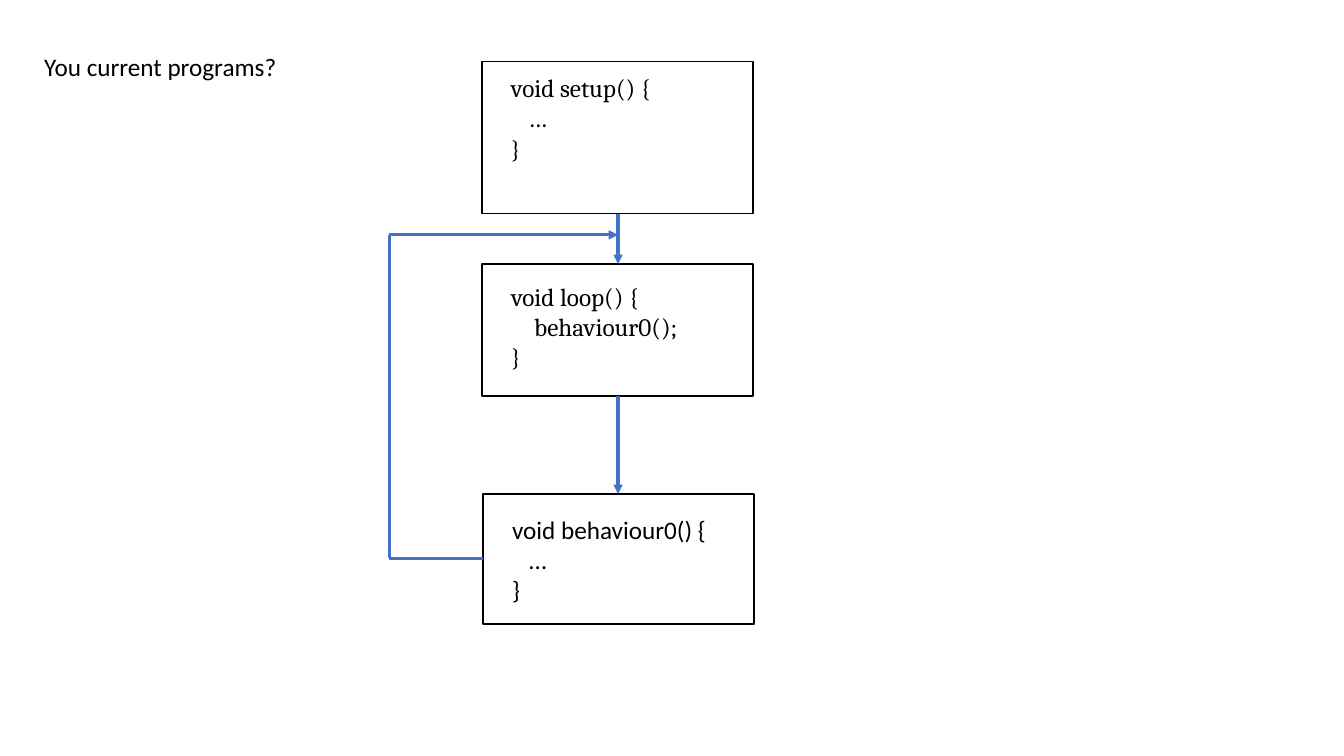
from lxml import etree
from pptx import Presentation
from pptx.dml.color import RGBColor
from pptx.enum.shapes import MSO_CONNECTOR, MSO_SHAPE
from pptx.enum.text import MSO_ANCHOR, PP_ALIGN
from pptx.oxml.ns import qn
from pptx.util import Inches, Pt

RECTANGLE = MSO_SHAPE.RECTANGLE
STRAIGHT = MSO_CONNECTOR.STRAIGHT
TOP = MSO_ANCHOR.TOP
LEFT = PP_ALIGN.LEFT

BLACK = "000000"
BLUE = "4472C4"
BOX_LEFT = 4.78
BOX_WIDTH = 2.69
CENTER = 6.13
LOOP_LEFT = 3.86
LOOP_TOP = 2.33
LOOP_BOTTOM = 5.54


def color(value):
    return RGBColor.from_string(value)


def add_text(slide, lines, left, top, width, height, font="Calibri", size=18, indent=0, wrap=True):
    text_box = slide.shapes.add_textbox(Inches(left), Inches(top), Inches(width), Inches(height))
    frame = text_box.text_frame
    frame.word_wrap = wrap
    frame.vertical_anchor = TOP
    for index, line in enumerate(lines):
        paragraph = frame.paragraphs[0] if index == 0 else frame.add_paragraph()
        paragraph.alignment = LEFT
        if 0 < index < len(lines) - 1:
            paragraph._p.get_or_add_pPr().set("marL", str(Inches(indent)))
        run = paragraph.add_run()
        run.text = line
        run.font.name = font
        run.font.size = Pt(size)
        run.font.color.rgb = color(BLACK)


def add_box(slide, left, top, height):
    box = slide.shapes.add_shape(
        RECTANGLE, Inches(left), Inches(top), Inches(BOX_WIDTH), Inches(height))
    box.shadow.inherit = False
    box.fill.background()
    box.line.color.rgb = color(BLACK)
    box.line.width = Pt(1)


def add_line(slide, start, end, arrow=False):
    connector = slide.shapes.add_connector(
        STRAIGHT, *(Inches(value) for value in (*start, *end)))
    connector.line.color.rgb = color(BLUE)
    connector.line.width = Pt(2.25)
    if arrow:
        line = connector.line._get_or_add_ln()
        etree.SubElement(line, qn("a:tailEnd"), type="triangle")
    etree.SubElement(connector._element.spPr, qn("a:effectLst"))


def main():
    presentation = Presentation()
    presentation.slide_width = Inches(13.33)
    presentation.slide_height = Inches(7.5)
    slide = presentation.slides.add_slide(presentation.slide_layouts[6])

    add_box(slide, BOX_LEFT, 0.61, 1.51)
    add_text(slide, ["void setup() {", "…", "}"], 4.97, 0.67, 1.66, 1.31,
             font="Cambria", indent=0.17)
    add_box(slide, BOX_LEFT, 2.62, 1.31)
    add_text(slide, ["void loop() {", "behaviour0();", "}"], 4.97, 2.74, 3.31, 1.01,
             font="Cambria", indent=0.23)
    add_box(slide, BOX_LEFT + 0.01, 4.9, 1.29)
    add_text(slide, ["void behaviour0() {", "…", "}"], 4.98, 5.05, 3.89, 1.01, indent=0.17)

    add_line(slide, (CENTER, 2.12), (CENTER, 2.62), arrow=True)
    add_line(slide, (CENTER, 3.93), (CENTER, 4.9), arrow=True)
    add_line(slide, (BOX_LEFT + 0.01, LOOP_BOTTOM), (LOOP_LEFT, LOOP_BOTTOM))
    add_line(slide, (LOOP_LEFT, LOOP_TOP), (LOOP_LEFT, LOOP_BOTTOM))
    add_line(slide, (LOOP_LEFT, LOOP_TOP), (CENTER, LOOP_TOP), arrow=True)

    add_text(slide, ["You current programs?"], 0.34, 0.46, 2.53, 0.4, wrap=False)
    presentation.save("out.pptx")


if __name__ == "__main__":
    main()
